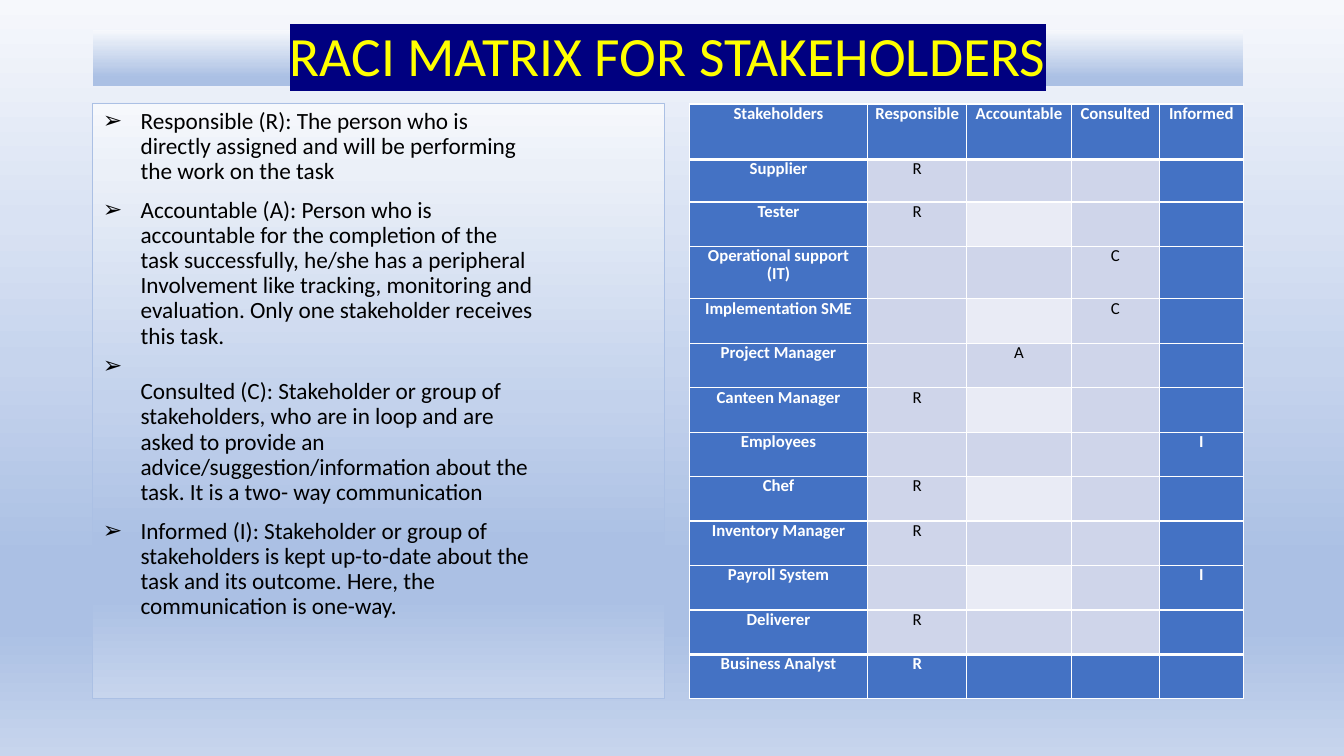
from lxml import etree
from pptx import Presentation
from pptx.dml.color import RGBColor
from pptx.enum import text
from pptx.oxml import ns
from pptx.util import Cm, Pt

FONT = "Calibri"
COLORS = {
    "white": "FFFFFF", "black": "000000", "yellow": "FFFF00", "navy": "000080",
    "blue": "4472C4", "band": "CFD5EA", "pale": "E9EBF5", "outline": "ABC0E4",
}
BACKGROUND_STOPS = [(0, "F6F8FC"), (29, "D9E2F3"), (48, "C6D4ED"),
                    (74, "ABC0E4"), (83, "ABC0E4"), (100, "C7D5ED")]
BODY_STOPS = [(0, "F6F8FC"), (11, "EBF0F8"), (50, "C3D2EC"),
              (74, "ABC0E4"), (83, "ABC0E4"), (100, "C7D5ED")]
TITLE_STOPS = [(0, "F6F8FC"), (24, "E0E8F5"), (42, "D0DCF0"),
               (61, "BFCFEA"), (83, "ABC0E4"), (100, "ABC0E4")]

# Space before in points, then the text; \v is a line break
DEFINITIONS = [
    (7.3, "Responsible (R): The person who is directly assigned and will be "
          "performing the work on the task"),
    (10, "Accountable (A): Person who is accountable for the completion of the task "
         "successfully, he/she has a peripheral Involvement like tracking, monitoring "
         "and evaluation. Only one stakeholder receives this task."),
    (3.9, "\vConsulted (C): Stakeholder or group of stakeholders, who are in loop and "
          "are asked to provide an advice/suggestion/information about the task. "
          "It is a two- way communication"),
    (10, "Informed (I): Stakeholder or group of stakeholders is kept up-to-date about "
         "the task and its outcome. Here, the communication is one-way."),
]
HEADERS = ["Stakeholders", "Responsible", "Accountable", "Consulted", "Informed"]
ROLES = [
    ("Supplier", "R"), ("Tester", "R"), ("Operational support\n(IT)", "C"),
    ("Implementation SME", "C"), ("Project Manager", "A"), ("Canteen Manager", "R"),
    ("Employees", "I"), ("Chef", "R"), ("Inventory Manager", "R"),
    ("Payroll System", "I"), ("Deliverer", "R"), ("Business Analyst", "R"),
]
COLUMN_WIDTHS = [4.5, 2.49, 2.64, 2.22, 2.11]
ROW_HEIGHTS = [1.4, 1.07, 1.12, 1.32] + [1.12] * 9


def rgb(name):
    return RGBColor.from_string(COLORS[name])


def add_element(parent, tag, **attributes):
    return etree.SubElement(parent, ns.qn(tag), attributes)


def fill_gradient(fill, holder, stops):
    """Fill from top to bottom; holder is the element that contains the fill."""
    fill.gradient()
    fill.gradient_angle = 270
    stop_list = next(holder.iter(ns.qn("a:gsLst")))
    stop_list.clear()
    for percent, color in stops:
        stop = add_element(stop_list, "a:gs", pos=str(percent * 1000))
        add_element(stop, "a:srgbClr", val=color)


def place(shape, left, top, width, height):
    shape.left, shape.top = Cm(left), Cm(top)
    shape.width, shape.height = Cm(width), Cm(height)


def style_font(font, size, color, bold=False):
    font.name, font.size, font.bold = FONT, Pt(size), bold
    font.color.rgb = rgb(color)


def write_title(title):
    place(title, 2.34, 0.76, 28.98, 1.42)
    fill_gradient(title.fill, title._element.spPr, TITLE_STOPS)
    frame = title.text_frame
    frame.auto_size = text.MSO_AUTO_SIZE.NONE
    frame.vertical_anchor = text.MSO_ANCHOR.MIDDLE
    paragraph = frame.paragraphs[0]
    paragraph.alignment = text.PP_ALIGN.CENTER
    paragraph.line_spacing = 0.9
    style_font(paragraph.font, 39.6, "yellow")
    run = paragraph.add_run()
    run.text = "RACI MATRIX FOR STAKEHOLDERS"
    highlight = add_element(run.font._element, "a:highlight")
    add_element(highlight, "a:srgbClr", val=COLORS["navy"])


def write_definitions(body):
    place(body, 2.34, 2.62, 14.4, 14.99)
    fill_gradient(body.fill, body._element.spPr, BODY_STOPS)
    body.line.color.rgb = rgb("outline")
    body.line.width = Pt(0.75)
    frame = body.text_frame
    frame.auto_size = text.MSO_AUTO_SIZE.NONE
    frame.margin_right = Cm(3.25)
    frame.text = "\n".join(definition for _, definition in DEFINITIONS)
    for paragraph, (space_before, _) in zip(frame.paragraphs, DEFINITIONS):
        paragraph.line_spacing = 0.9
        paragraph.space_before = Pt(space_before)
        properties = paragraph._p.get_or_add_pPr()
        properties.set("marL", str(Cm(0.95)))
        properties.set("indent", str(-Cm(0.95)))
        add_element(properties, "a:buChar", char="➢")
        style_font(paragraph.font, 16.6, "black")


def draw_borders(cell, top, bottom):
    """White borders: 1 pt at the sides, top and bottom in points."""
    properties = cell._tc.get_or_add_tcPr()
    for side, width in (("L", 1), ("R", 1), ("T", top), ("B", bottom)):
        line = add_element(properties, f"a:ln{side}", w=str(Pt(width)))
        fill = add_element(line, "a:solidFill")
        add_element(fill, "a:srgbClr", val=COLORS["white"])


def write_cell(cell, content, fill, strong):
    cell.margin_left = cell.margin_right = cell.margin_top = cell.margin_bottom = 0
    cell.fill.solid()
    cell.fill.fore_color.rgb = rgb(fill)
    cell.text = content
    for index, paragraph in enumerate(cell.text_frame.paragraphs):
        paragraph.alignment = text.PP_ALIGN.CENTER
        paragraph.line_spacing = Pt(12.7 if index else 14.2)
        style_font(paragraph.font, 12, "white" if strong else "black", strong)


def add_matrix(slide):
    rows = [HEADERS] + [
        [name] + [role if header[0] == role else "" for header in HEADERS[1:]]
        for name, role in ROLES
    ]
    last_row, last_column = len(rows) - 1, len(HEADERS) - 1
    table = slide.shapes.add_table(len(rows), len(HEADERS), Cm(17.37), Cm(2.62),
                                   Cm(sum(COLUMN_WIDTHS)), Cm(sum(ROW_HEIGHTS))).table
    for column, width in zip(table.columns, COLUMN_WIDTHS):
        column.width = Cm(width)
    for row, height in zip(table.rows, ROW_HEIGHTS):
        row.height = Cm(height)

    edges = [3 if edge in (1, last_row) else 1 for edge in range(len(rows) + 1)]
    for i, row in enumerate(rows):
        for j, content in enumerate(row):
            strong = i in (0, last_row) or j in (0, last_column)
            pale = HEADERS[j] == "Accountable" and i % 2 == 0
            fill = "blue" if strong else "pale" if pale else "band"
            cell = table.cell(i, j)
            draw_borders(cell, edges[i], edges[i + 1])
            write_cell(cell, content, fill, strong)


def main():
    presentation = Presentation()
    presentation.slide_width, presentation.slide_height = Cm(33.87), Cm(19.05)
    slide = presentation.slides.add_slide(presentation.slide_layouts[1])
    background = slide.background.fill
    fill_gradient(background, slide._element, BACKGROUND_STOPS)
    add_matrix(slide)
    write_definitions(slide.placeholders[1])
    write_title(slide.shapes.title)
    presentation.save("out.pptx")


if __name__ == "__main__":
    main()
